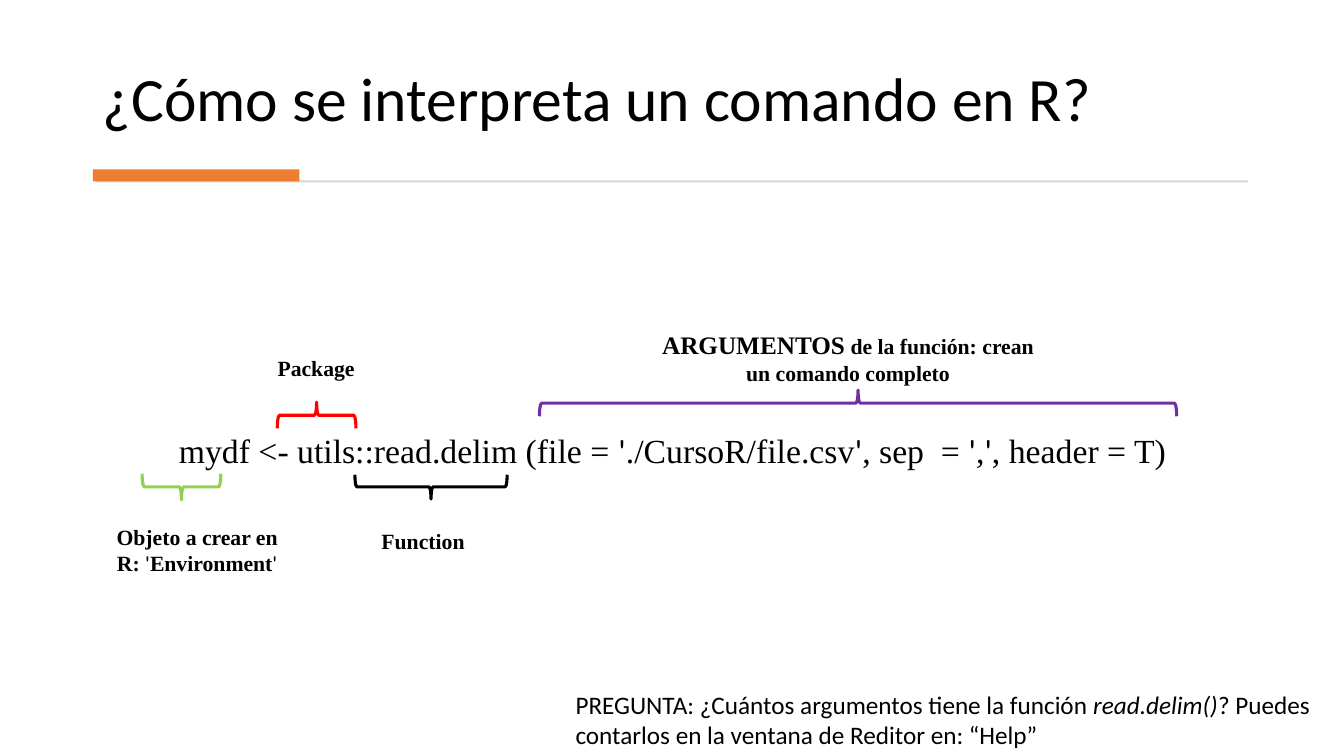
import itertools

import pptx
import pptx.dml.color
import pptx.enum.shapes
import pptx.enum.text
import pptx.util

Inches = pptx.util.Inches
SERIF = "Times New Roman"
SANS = "Calibri"
LABEL_SIZE = 15.5


def color(hex_value):
    return pptx.dml.color.RGBColor.from_string(hex_value)


def style_run(run, size, font, bold=False, italic=False):
    run.font.size = pptx.util.Pt(size)
    run.font.name = font
    run.font.bold = bold
    run.font.italic = italic
    run.font.color.rgb = color("000000")


def quoted_parts(text, size, bold=False):
    for is_quote, letters in itertools.groupby(text, lambda letter: letter == "'"):
        font = SANS if is_quote else SERIF
        yield "".join(letters), dict(size=size, font=font, bold=bold and not is_quote)


def add_text(slide, box, parts, centered=True):
    frame = slide.shapes.add_textbox(*map(Inches, box)).text_frame
    frame.word_wrap = True
    frame.auto_size = pptx.enum.text.MSO_AUTO_SIZE.SHAPE_TO_FIT_TEXT
    paragraph = frame.paragraphs[0]
    if centered:
        paragraph.alignment = pptx.enum.text.PP_ALIGN.CENTER
        paragraph.space_after = pptx.util.Pt(6)
    for text, style in parts:
        run = paragraph.add_run()
        run.text = text
        style_run(run, **style)


def add_bar(slide, box, fill):
    bar = slide.shapes.add_shape(pptx.enum.shapes.MSO_SHAPE.RECTANGLE, *map(Inches, box))
    bar.shadow.inherit = False
    bar.fill.solid()
    bar.fill.fore_color.rgb = color(fill)
    bar.line.fill.background()


def add_brace(slide, box, line, rotation):
    left, top, span, depth = box
    center_x, center_y = left + span / 2, top + depth / 2
    brace = slide.shapes.add_shape(
        pptx.enum.shapes.MSO_SHAPE.LEFT_BRACE,
        Inches(center_x - depth / 2), Inches(center_y - span / 2),
        Inches(depth), Inches(span))
    brace.rotation = rotation
    brace.shadow.inherit = False
    brace.fill.background()
    brace.line.color.rgb = color(line)
    brace.line.width = pptx.util.Pt(2.25)


def add_heading(slide, box):
    left, top, width, height = box
    title = slide.shapes.title
    title.left, title.top, title.width, title.height = map(Inches, box)
    frame = title.text_frame
    frame.text = "¿Cómo se interpreta un comando en R?"
    frame.word_wrap = True
    frame.vertical_anchor = pptx.enum.text.MSO_ANCHOR.BOTTOM
    paragraph = frame.paragraphs[0]
    paragraph.alignment = pptx.enum.text.PP_ALIGN.LEFT
    paragraph.line_spacing = 0.9
    style_run(paragraph.runs[0], 44, SANS)
    add_bar(slide, (left + 0.03, top + 1.51, 11.43, 0.02), "D5D5D5")
    add_bar(slide, (left, top + 1.4, 2.05, 0.12), "ED7D31")


def add_command(slide, box):
    left, top, width, height = box
    command = "mydf <- utils::read.delim (file = './CursoR/file.csv', sep  = ',', header = T)"
    add_text(slide, box, quoted_parts(command, 24.1))

    arguments = [("ARGUMENTOS", dict(size=18, font=SERIF, bold=True)),
                 *quoted_parts(" de la función: crean un comando completo", LABEL_SIZE, True)]
    annotations = [
        ((0.49, 0.49, 0.78, 0.26), "92D050", 270, (0, 0.94, 2.07, 0.62),
         quoted_parts("Objeto a crear en R: 'Environment'", LABEL_SIZE, True)),
        ((1.83, -0.22, 0.78, 0.26), "FF0000", 90, (1.54, -0.74, 1.35, 0.36),
         quoted_parts("Package", LABEL_SIZE, True)),
        ((2.6, 0.5, 1.51, 0.24), "000000", 270, (2.6, 0.98, 1.35, 0.36),
         quoted_parts("Function", LABEL_SIZE, True)),
        ((4.43, -0.34, 6.32, 0.26), "7030A0", 90, (5.5, -0.99, 3.98, 0.66), arguments),
    ]
    for brace_box, line, rotation, label_box, label in annotations:
        for place, offset in ((add_brace, brace_box), (add_text, label_box)):
            x, y, part_width, part_height = offset
            part_box = (left + x, top + y, part_width, part_height)
            if place is add_brace:
                add_brace(slide, part_box, line, rotation)
            else:
                add_text(slide, part_box, label)


def add_question(slide, box):
    plain = dict(size=18, font=SANS)
    question = [
        ("PREGUNTA: ¿Cuántos argumentos tiene la función ", plain),
        ("read.delim()", dict(plain, italic=True)),
        ("? Puedes contarlos en la ventana de Reditor en: “Help”", plain),
    ]
    add_text(slide, box, question, centered=False)


def main():
    presentation = pptx.Presentation()
    presentation.slide_width = Inches(13.33)
    presentation.slide_height = Inches(7.5)
    slide = presentation.slides.add_slide(presentation.slide_layouts[5])
    add_heading(slide, (0.92, 0.28, 11.49, 1.11))
    add_command(slide, (0.92, 4.21, 11.5, 0.51))
    add_question(slide, (5.61, 6.79, 7.73, 0.71))
    presentation.save("out.pptx")


if __name__ == "__main__":
    main()
